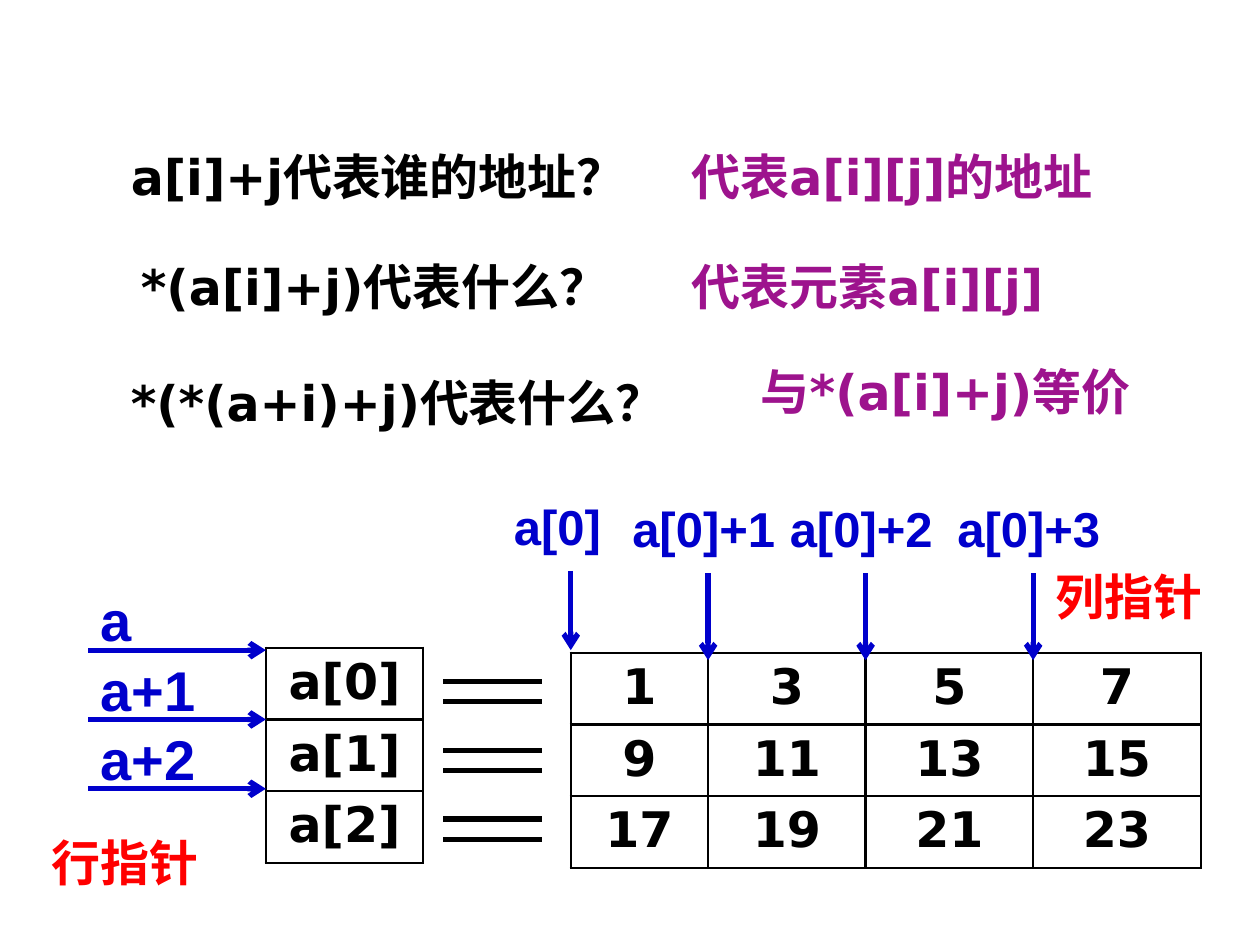
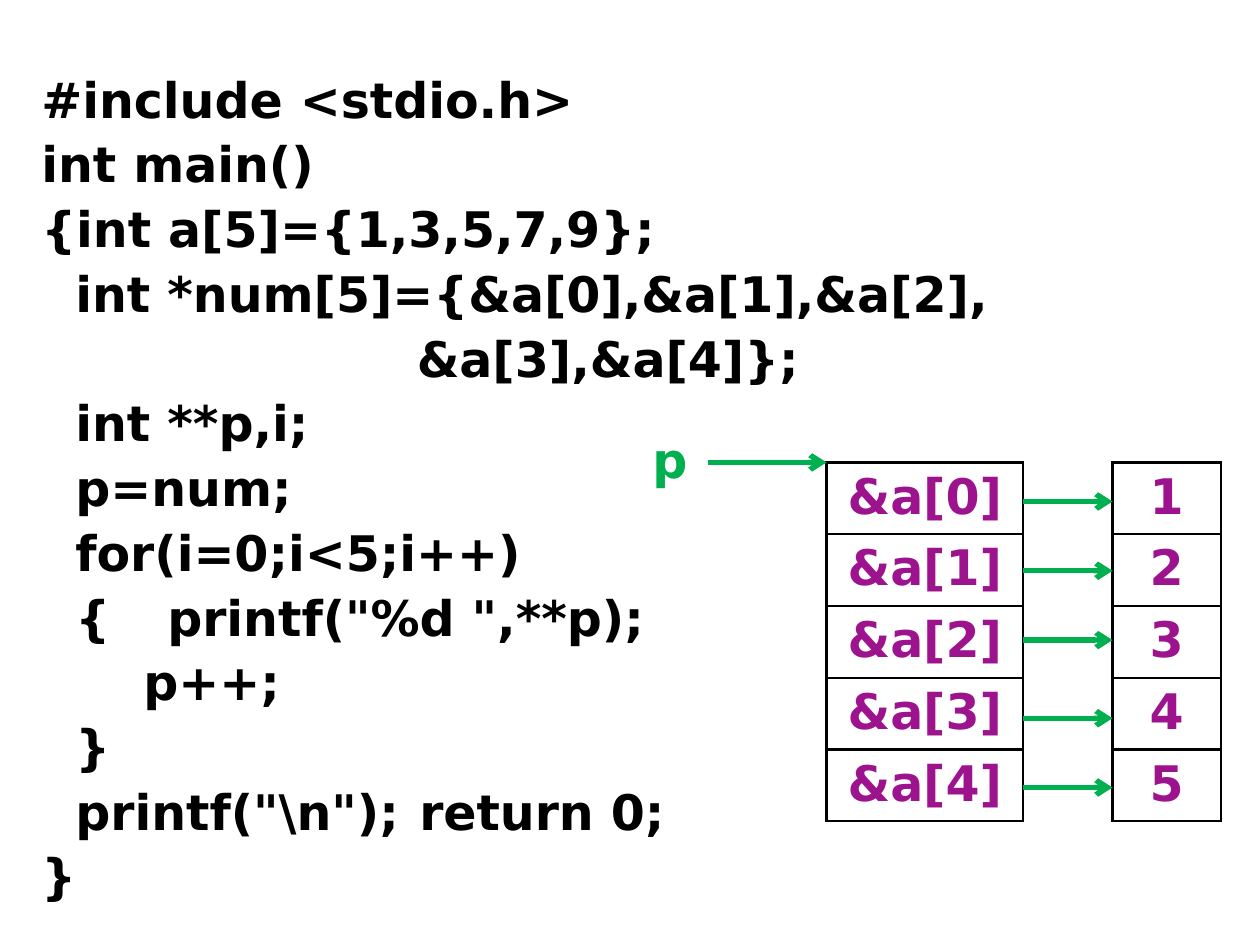
from itertools import accumulate

from pptx import Presentation
from pptx.dml.color import RGBColor
from pptx.enum.shapes import MSO_CONNECTOR
from pptx.enum.text import PP_ALIGN
from pptx.oxml import parse_xml
from pptx.oxml.ns import nsdecls
from pptx.util import Inches, Pt

BLACK, WHITE, BLUE, RED = "000000", "FFFFFF", "0000CC", "FF0000"
PURPLE, GREEN = "9D138D", "00B050"
CODE_FONT, LABEL_FONT = "DejaVu Sans", "Arial"
ROW_HEIGHT = 0.57

# Slide 1: left, top, width, wording, colour
QUESTIONS = [
    (0.94, 1.02, 4.38, "a[i]+j代表谁的地址？", BLACK),
    (5.39, 1.02, 3.75, "代表a[i][j]的地址", PURPLE),
    (1.02, 1.89, 4.37, "*(a[i]+j)代表什么？", BLACK),
    (5.39, 1.89, 3.75, "代表元素a[i][j]", PURPLE),
    (0.94, 2.81, 4.84, "*(*(a+i)+j)代表什么？", BLACK),
    (5.94, 2.73, 3.67, "与*(a[i]+j)等价", PURPLE),
]
ARRAY_ROWS = [["a[0]"], ["a[1]"], ["a[2]"]]
ARRAY_VALUES = [[1, 3, 5, 7], [9, 11, 13, 15], [17, 19, 21, 23]]
VALUES_LEFT, VALUES_TOP = 4.53, 5.18
VALUE_WIDTHS = [1.09, 1.25, 1.33, 1.33]
ROW_POINTERS = [("a", 0.47), ("a+1", 1.25), ("a+2", 1.25)]
# wording, shift from the column edge, label top, width, arrow start, arrow end
COLUMN_POINTERS = [("a[0]", -0.55, 3.89, 1.17, 4.53, 5.16)] + [
    (f"a[0]+{step}", -0.7, 3.91, 1.8, 4.55, 5.24) for step in (1, 2, 3)]
POINTER_KINDS = [("行指针", 0.31, 6.56), ("列指针", 8.28, 4.45)]

# Slide 2: indent, wording
CODE = [
    (0, "#include <stdio.h>"),
    (0, "int main()"),
    (0, "{int a[5]={1,3,5,7,9};"),
    (0.27, "int *num[5]={&a[0],&a[1],&a[2],"),
    (2.98, "&a[3],&a[4]};"),
    (0.27, "int **p,i;"),
    (0.27, "p=num;"),
    (0.27, "for(i=0;i<5;i++)"),
    (0.27, "{\tprintf(\"%d \",**p);"),
    (0.81, "p++;"),
    (0.27, "}"),
    (0.27, "printf(\"\\n\");\treturn 0;"),
    (0, "}"),
]
CODE_TABS = [0.81, 3.09]
ADDRESSES = [[f"&a[{i}]"] for i in range(5)]
TARGETS = [[number] for number in range(1, 6)]
TARGET_ARROWS = [3.98, 4.53, 5.08, 5.7, 6.25]


def rgb(colour):
    return RGBColor.from_string(colour)


def style(paragraph, colour, size=28, font=CODE_FONT):
    for run in paragraph.runs:
        run.font.name, run.font.size, run.font.bold = font, Pt(size), True
        run.font.color.rgb = rgb(colour)


def add_text(slide, left, top, width, height, wording, colour, size=28, font=CODE_FONT):
    box = slide.shapes.add_textbox(*map(Inches, (left, top, width, height)))
    frame = box.text_frame
    frame.word_wrap = True
    frame.text = wording
    for paragraph in frame.paragraphs:
        style(paragraph, colour, size, font)
    return frame


def add_line(slide, start, end, colour, arrow=False):
    line = slide.shapes.add_connector(MSO_CONNECTOR.STRAIGHT, *map(Inches, start + end))
    line.line.color.rgb = rgb(colour)
    line.line.width = Pt(3)
    if arrow:
        line.line._get_or_add_ln().append(
            parse_xml(f'<a:tailEnd {nsdecls("a")} type="arrow"/>'))
    line._element.spPr.append(parse_xml(f'<a:effectLst {nsdecls("a")}/>'))


def add_borders(cell):
    properties = cell._tc.get_or_add_tcPr()
    for place, side in enumerate(("lnL", "lnR", "lnT", "lnB")):
        properties.insert(place, parse_xml(
            f'<a:{side} {nsdecls("a")} w="{Pt(1.47)}"><a:solidFill>'
            f'<a:srgbClr val="{BLACK}"/></a:solidFill></a:{side}>'))


def add_grid(slide, left, top, widths, rows, colour):
    table = slide.shapes.add_table(
        len(rows), len(widths), Inches(left), Inches(top),
        Inches(sum(widths)), Inches(ROW_HEIGHT * len(rows))).table
    table.first_row = table.horz_banding = False
    for column, width in zip(table.columns, widths):
        column.width = Inches(width)
    for r, row in enumerate(rows):
        for c, value in enumerate(row):
            cell = table.cell(r, c)
            cell.fill.solid()
            cell.fill.fore_color.rgb = rgb(WHITE)
            add_borders(cell)
            cell.text = str(value)
            paragraph = cell.text_frame.paragraphs[0]
            paragraph.alignment = PP_ALIGN.CENTER
            style(paragraph, colour)


def build_pointer_slide(slide):
    for left, top, width, wording, colour in QUESTIONS:
        frame = add_text(slide, left, top, width, 0.78, wording, colour)
        frame.paragraphs[0].line_spacing = 1.2
        frame.paragraphs[0].space_before = Pt(7)

    add_grid(slide, VALUES_LEFT, VALUES_TOP, VALUE_WIDTHS, ARRAY_VALUES, BLACK)
    add_grid(slide, 2.11, 5.14, [1.25], ARRAY_ROWS, BLACK)

    for i, (wording, width) in enumerate(ROW_POINTERS):
        equals_middle = 5.49 + 0.545 * i
        for y in (equals_middle - 0.08, equals_middle + 0.08):
            add_line(slide, (3.52, y), (4.3, y), BLACK)
        drop = 0.55 * i
        add_text(slide, 0.7, 4.6 + drop, width, 0.64, wording, BLUE, 32, LABEL_FONT)
        add_line(slide, (0.7, 5.16 + drop), (2.11, 5.16 + drop), BLUE, arrow=True)

    column_edges = accumulate(VALUE_WIDTHS[:-1], initial=VALUES_LEFT)
    for edge, (wording, shift, top, width, start, end) in zip(column_edges, COLUMN_POINTERS):
        add_text(slide, edge + shift, top, width, 0.57, wording, BLUE, font=LABEL_FONT)
        add_line(slide, (edge, start), (edge, end), BLUE, arrow=True)

    for wording, left, top in POINTER_KINDS:
        add_text(slide, left, top, 1.48, 0.57, wording, RED, font=LABEL_FONT)


def build_code_slide(slide):
    wording = "\n".join(line for _, line in CODE)
    frame = add_text(slide, 0.23, 0.55, 8.44, 6.56, wording, BLACK)
    stops = "".join(f'<a:tab pos="{Inches(stop)}" algn="l"/>' for stop in CODE_TABS)
    for paragraph, (indent, _) in zip(frame.paragraphs, CODE):
        paragraph.line_spacing = Pt(30)
        paragraph.space_before = Pt(7)
        properties = paragraph._p.get_or_add_pPr()
        properties.set("marL", "0")
        properties.set("indent", str(Inches(indent)))
        properties.append(parse_xml(f'<a:tabLst {nsdecls("a")}>{stops}</a:tabLst>'))

    add_grid(slide, 6.56, 3.67, [1.56], ADDRESSES, PURPLE)
    add_text(slide, 5.08, 3.36, 0.7, 0.57, "p", GREEN)
    add_line(slide, (5.62, 3.67), (6.56, 3.67), GREEN, arrow=True)
    add_grid(slide, 8.83, 3.67, [0.86], TARGETS, PURPLE)
    for y in TARGET_ARROWS:
        add_line(slide, (8.12, y), (8.83, y), GREEN, arrow=True)


def main():
    deck = Presentation()
    deck.slide_width, deck.slide_height = Inches(10), Inches(7.5)
    for build in (build_pointer_slide, build_code_slide):
        build(deck.slides.add_slide(deck.slide_layouts[6]))
    deck.save("out.pptx")


if __name__ == "__main__":
    main()
